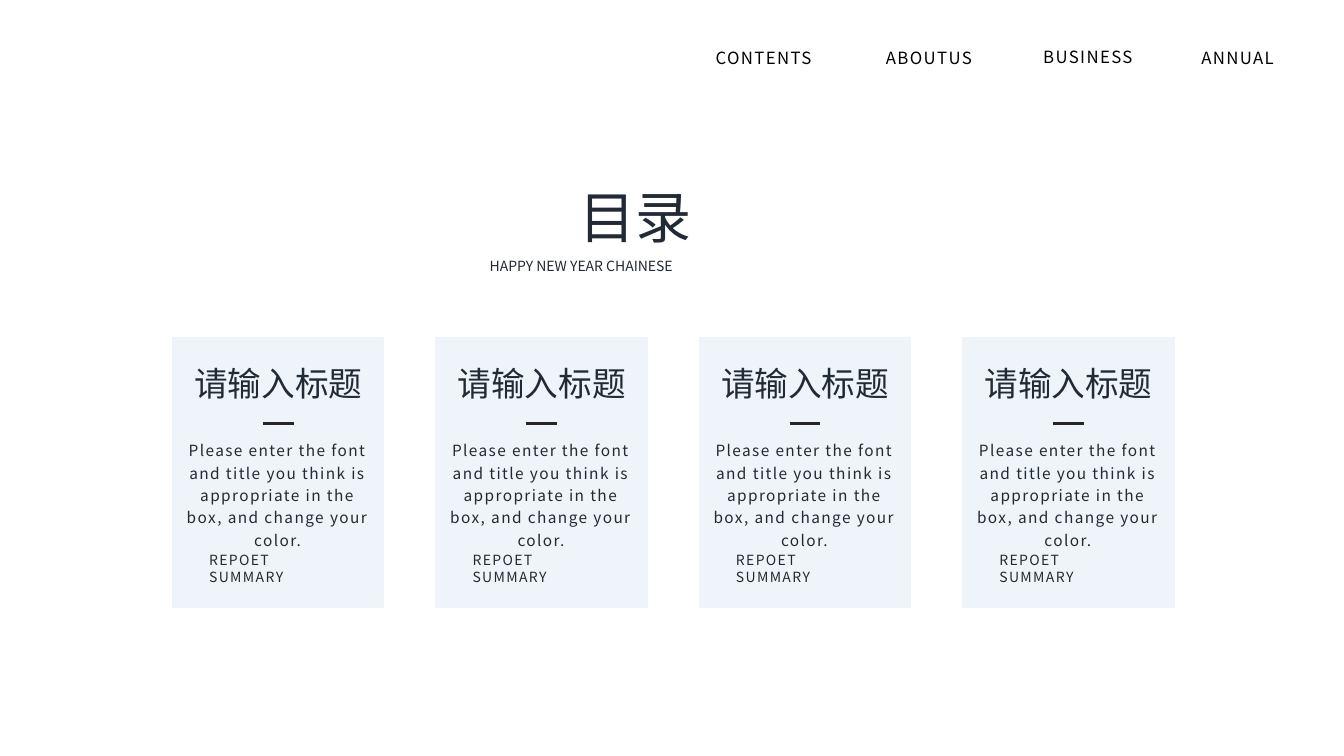
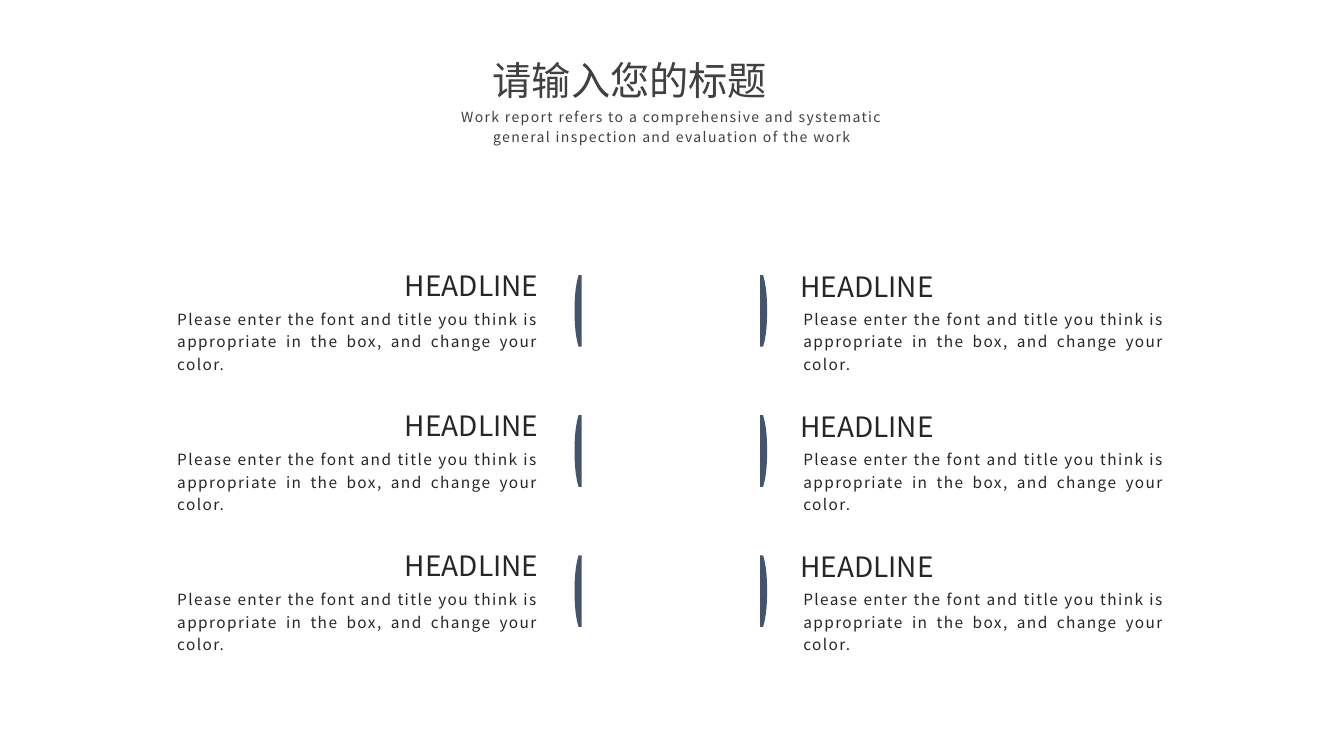
from lxml import etree
from pptx import Presentation
from pptx import util as u
from pptx.dml.color import RGBColor
from pptx.enum import shapes, text
from pptx.oxml import ns

INK = RGBColor(0x22, 0x2A, 0x35)
BLACK = RGBColor(0x00, 0x00, 0x00)
WHITE = RGBColor(0xFF, 0xFF, 0xFF)
GREY = RGBColor(0x40, 0x40, 0x40)
DARK = RGBColor(0x26, 0x26, 0x26)
SLATE = RGBColor(0x44, 0x54, 0x6A)
PALE = RGBColor(0xDE, 0xEB, 0xF7)
FONT = "Noto Sans CJK SC"
LEFT, CENTER, RIGHT, JUSTIFY = (
    text.PP_ALIGN.LEFT, text.PP_ALIGN.CENTER, text.PP_ALIGN.RIGHT, text.PP_ALIGN.JUSTIFY)
BODY = "Please enter the font and title you think is appropriate in the box, and change your color."

prs = Presentation()
prs.slide_width, prs.slide_height = u.Inches(13.33), u.Inches(7.5)
BLANK = prs.slide_layouts[6]


def place(*shares):
    sides = (prs.slide_width, prs.slide_height) * 2
    return [round(share * side / 100) for share, side in zip(shares, sides)]


def add_text(s, box, lines, size, color, align, leading=None, spaced=False, wrap=True):
    tf = s.shapes.add_textbox(*place(*box)).text_frame
    tf.word_wrap = wrap
    tf.auto_size = text.MSO_AUTO_SIZE.SHAPE_TO_FIT_TEXT
    for i, line in enumerate(lines):
        p = tf.add_paragraph() if i else tf.paragraphs[0]
        p.alignment = align
        if leading:
            p.line_spacing = u.Pt(leading)
        r = p.add_run()
        r.text = line
        r.font.size, r.font.name = u.Pt(size), FONT
        r.font.color.rgb = color
        rpr = r.font._element
        etree.SubElement(rpr, ns.qn("a:ea"), typeface=FONT)
        if spaced:
            rpr.set("spc", "100")


s = prs.slides.add_slide(BLANK)
add_text(s, (35.7, 33.47, 30.98, 3.6), ["HAPPY NEW YEAR CHAINESE"], 10, INK, JUSTIFY)
add_text(s, (42.38, 23.47, 15.15, 10.27), ["目录"], 40, INK, JUSTIFY)

for col in range(4):
    x = 12.75 + 19.6 * col
    sp = s.shapes.add_shape(shapes.MSO_SHAPE.RECTANGLE, *place(x, 44.53, 15.9, 36))
    sp.shadow.inherit = False
    sp.fill.solid()
    sp.fill.fore_color.rgb = PALE
    fill = sp._element.spPr.find(ns.qn("a:solidFill"))
    etree.SubElement(fill[0], ns.qn("a:alpha"), val="50000")
    sp.line.color.rgb = WHITE
    sp.line.width = u.Pt(1)
    add_text(s, (x + 0.26, 57.2, 15.3, 12.93), [BODY], 11, INK, CENTER, 16, True)
    add_text(s, (x - 0.34, 47.33, 16.58, 6.67), ["请输入标题"], 24, INK, CENTER)
    rule = s.shapes.add_connector(
        shapes.MSO_CONNECTOR.STRAIGHT, *place(x + 6.8, 56, x + 9.1, 56))
    rule.line.color.rgb = DARK
    rule.line.width = u.Pt(2.25)
    etree.SubElement(rule._element.spPr, ns.qn("a:effectLst"))
    add_text(s, (x + 2.07, 72.27, 11.7, 5.87), ["REPOET", "SUMMARY"], 10, INK, JUSTIFY, 12, True)

for label, x, y, w in (
    ("ABOUTUS", 65.18, 5.6, 8.4),
    ("CONTENTS", 52.5, 5.6, 9.3),
    ("BUSINESS", 76.88, 5.47, 8.33),
    ("ANNUAL", 88.65, 5.6, 7.35),
):
    add_text(s, (x, y, w, 4), [label], 12, BLACK, LEFT, spaced=True, wrap=False)

s = prs.slides.add_slide(BLANK)
add_text(s, (35.93, 6.8, 28.2, 7.6), ["请输入您的标题"], 28, GREY, JUSTIFY)
add_text(s, (31.95, 13.33, 36.08, 6.27),
         ["Work report refers to a comprehensive and systematic general inspection and evaluation of the work"],
         10, GREY, CENTER, 14, True)

STEPS = 10
upper = []
for i in range(STEPS + 1):
    t = i / STEPS
    weights = ((1 - t) ** 3, 3 * t * (1 - t) ** 2, 3 * t ** 2 * (1 - t), t ** 3)
    upper.append((sum(a * b for a, b in zip(weights, (0.43, 0.86, 1, 1))),
                  sum(a * b for a, b in zip(weights, (0, 0.14, 0.31, 0.5)))))
lower = [(dx, 1 - dy) for dx, dy in reversed(upper[:-1])]
bow = upper + lower + [(0, 1)]

for edge, depth, body_x, head_x, head_y, align in (
    (56.55, 0.53, 59.03, 58.8, 34.93, JUSTIFY),
    (43.28, -0.53, 12.45, 24.22, 34.8, RIGHT),
):
    for row in range(3):
        dy = 18.53 * row
        top = 36.4 + dy
        outline = s.shapes.build_freeform(*place(edge, top))
        outline.add_line_segments(
            [place(edge + depth * a, top + 9.47 * b) for a, b in bow], close=True)
        sp = outline.convert_to_shape()
        sp.shadow.inherit = False
        sp.fill.solid()
        sp.fill.fore_color.rgb = SLATE
        sp.line.fill.background()
        add_text(s, (body_x, 39.87 + dy, 28.35, 6.93), [BODY], 11, DARK, JUSTIFY, 16, True)
        add_text(s, (head_x, head_y + dy, 16.58, 5.87), ["HEADLINE"], 20, DARK, align)

prs.save("out.pptx")
